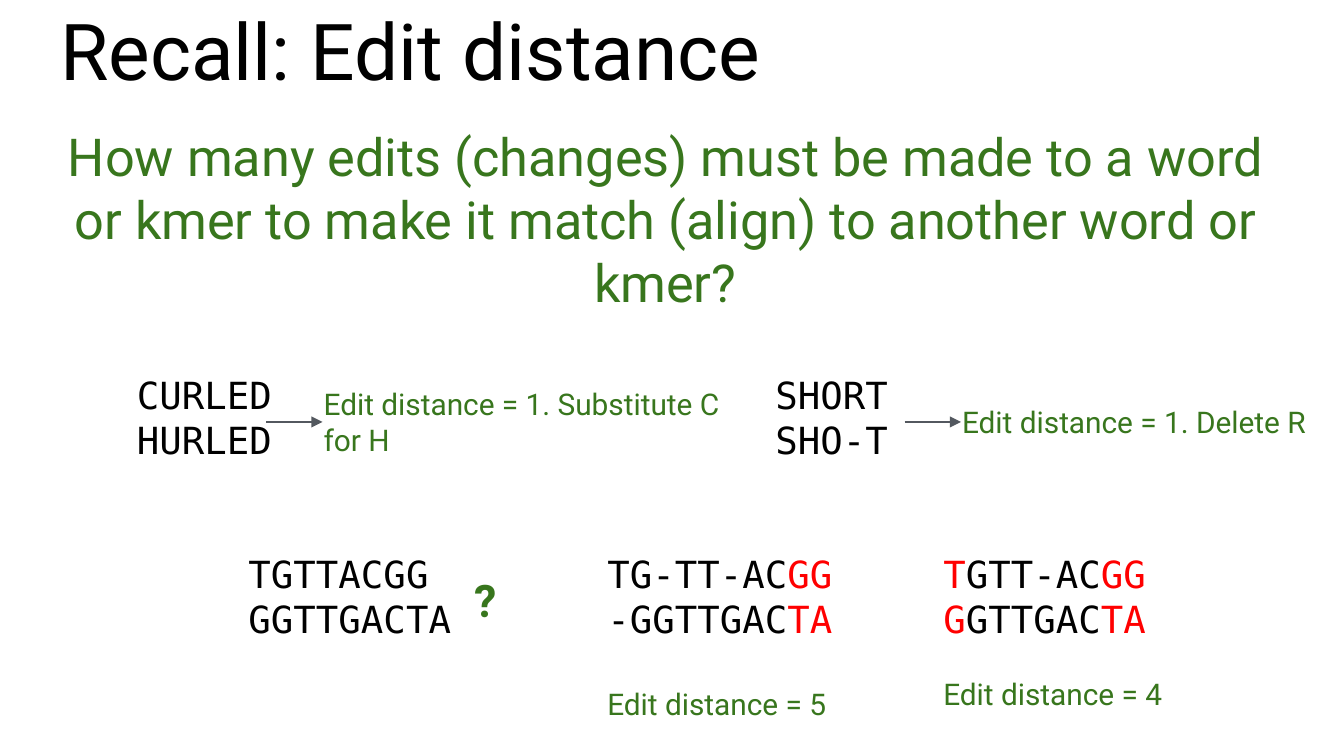
import pptx
import pptx.dml.color
import pptx.enum.shapes
import pptx.enum.text
import pptx.oxml
import pptx.oxml.ns
import pptx.util

INK = {"black": "000000", "green": "38761D", "red": "FF0000", "gray": "53585F"}
SANS, MONO = "Roboto", "DejaVu Sans Mono"
COLS, ROWS = 100, 56.25  # grid of tenth-inch cells, 16:9
LEFT, MID = pptx.enum.text.PP_ALIGN.LEFT, pptx.enum.text.PP_ALIGN.CENTER


def color(name):
    return pptx.dml.color.RGBColor.from_string(INK[name])


class Deck:
    def __init__(self):
        self.file = pptx.Presentation()
        self.file.slide_width = self.cell(COLS)
        self.file.slide_height = self.cell(ROWS)
        self.slide = self.file.slides.add_slide(self.file.slide_layouts[6])
        self.home = self.slide.shapes

    def cell(self, count):
        return pptx.util.Inches(count / 10)

    def group(self):
        """Send the next elements to a new group."""
        self.home = self.slide.shapes.add_group_shape().shapes

    def free(self):
        """Send the next elements straight to the slide."""
        self.home = self.slide.shapes

    def box(self, x, y, w, h, pad=1, middle=True):
        shape = self.home.add_textbox(*map(self.cell, (x, y, w, h)))
        frame = shape.text_frame
        frame.word_wrap = True
        frame.margin_left = frame.margin_right = self.cell(pad)
        frame.margin_top = frame.margin_bottom = self.cell(pad)
        anchor = pptx.enum.text.MSO_ANCHOR
        frame.vertical_anchor = anchor.MIDDLE if middle else anchor.TOP
        return frame

    def style(self, run, size, tint, face=SANS, bold=False):
        run.font.name, run.font.size = face, pptx.util.Pt(size)
        run.font.bold = bold
        run.font.color.rgb = color(tint)

    def text(self, words, place, size, tint="green", align=LEFT, pad=1, bold=False):
        frame = self.box(*place, pad=pad)
        frame.text = words
        para = frame.paragraphs[0]
        para.alignment = align
        self.style(para.runs[0], size, tint, bold=bold)

    def pair(self, lines, x, y, w, note=None, gap=0):
        """Stack two words; parts between asterisks are red."""
        frame = self.box(x, y, w, 4.8, middle=False)
        for i, line in enumerate(lines):
            para = frame.paragraphs[0] if i == 0 else frame.add_paragraph()
            for j, part in enumerate(line.split("*")):
                if part:
                    run = para.add_run()
                    run.text = part
                    self.style(run, 20, "red" if j % 2 else "black", MONO)
        if note:
            para = frame.add_paragraph()
            para.text = note
            para.space_before = pptx.util.Pt(gap)
            self.style(para.runs[0], 16, "green")

    def arrow(self, x, y, w):
        kind = pptx.enum.shapes.MSO_CONNECTOR.STRAIGHT
        line = self.home.add_connector(kind, *map(self.cell, (x, y, x + w, y)))
        line.line.color.rgb = color("gray")
        line.line.width = pptx.util.Pt(0.75)
        tip = pptx.oxml.parse_xml(
            f'<a:tailEnd {pptx.oxml.ns.nsdecls("a")} type="triangle"/>')
        line.line._get_or_add_ln().append(tip)
        line._element.spPr.append(pptx.oxml.parse_xml(
            f'<a:effectLst {pptx.oxml.ns.nsdecls("a")}/>'))

    def example(self, x, lines, note):
        self.group()
        self.pair(lines, x, 26.7, 13.1)
        self.arrow(x + 10.6, 31.4, 4.2)
        self.text(note, (x + 13.9, 29.1, 32.8, 4.6), 16)


def main():
    deck = Deck()
    deck.text("Recall: Edit distance", (4.1, 0, 91.4, 7.3), 42, "black", pad=0.4)
    deck.text("How many edits (changes) must be made to a word or kmer "
              "to make it match (align) to another word or kmer?",
              (3.5, 8.4, 92, 15.7), 28, align=MID)

    deck.example(9.2, ("CURLED", "HURLED"),
                 "Edit distance = 1. Substitute C for H")
    deck.example(56.7, ("SHORT", "SHO-T"), "Edit distance = 1. Delete R")

    deck.group()
    deck.pair(("TGTTACGG", "GGTTGACTA"), 17.5, 40, 38.9)
    deck.text("?", (34.3, 42.5, 4.1, 4.2), 24, bold=True)

    deck.free()
    deck.pair(("TG-TT-AC*GG*", "-GGTTGAC*TA*"), 44.2, 40, 38.9,
              "Edit distance = 5", 24)
    deck.pair(("*T*GTT-AC*GG*", "*G*GTTGAC*TA*"), 69.2, 40, 38.9,
              "Edit distance = 4", 19)
    deck.file.save("out.pptx")


if __name__ == "__main__":
    main()
